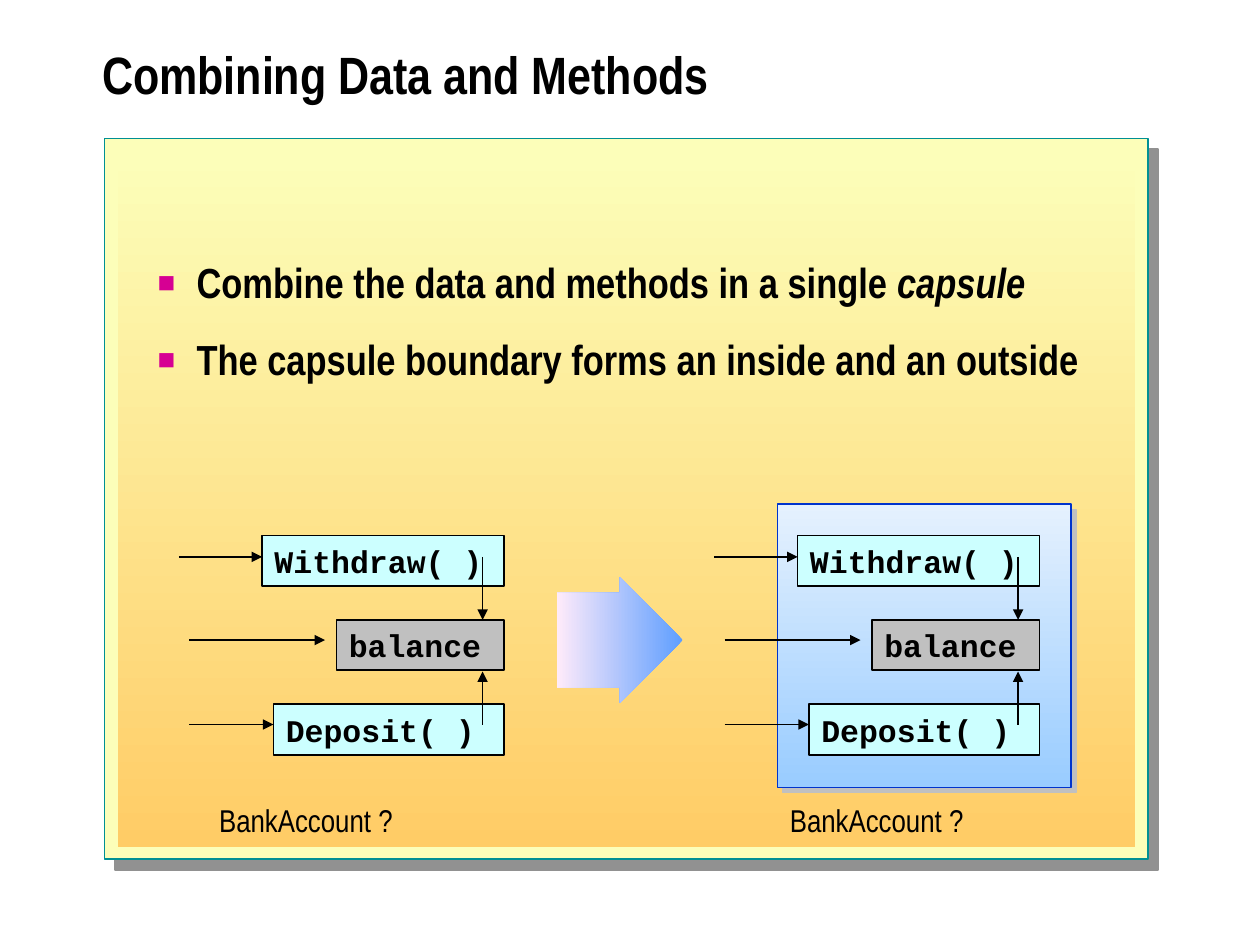
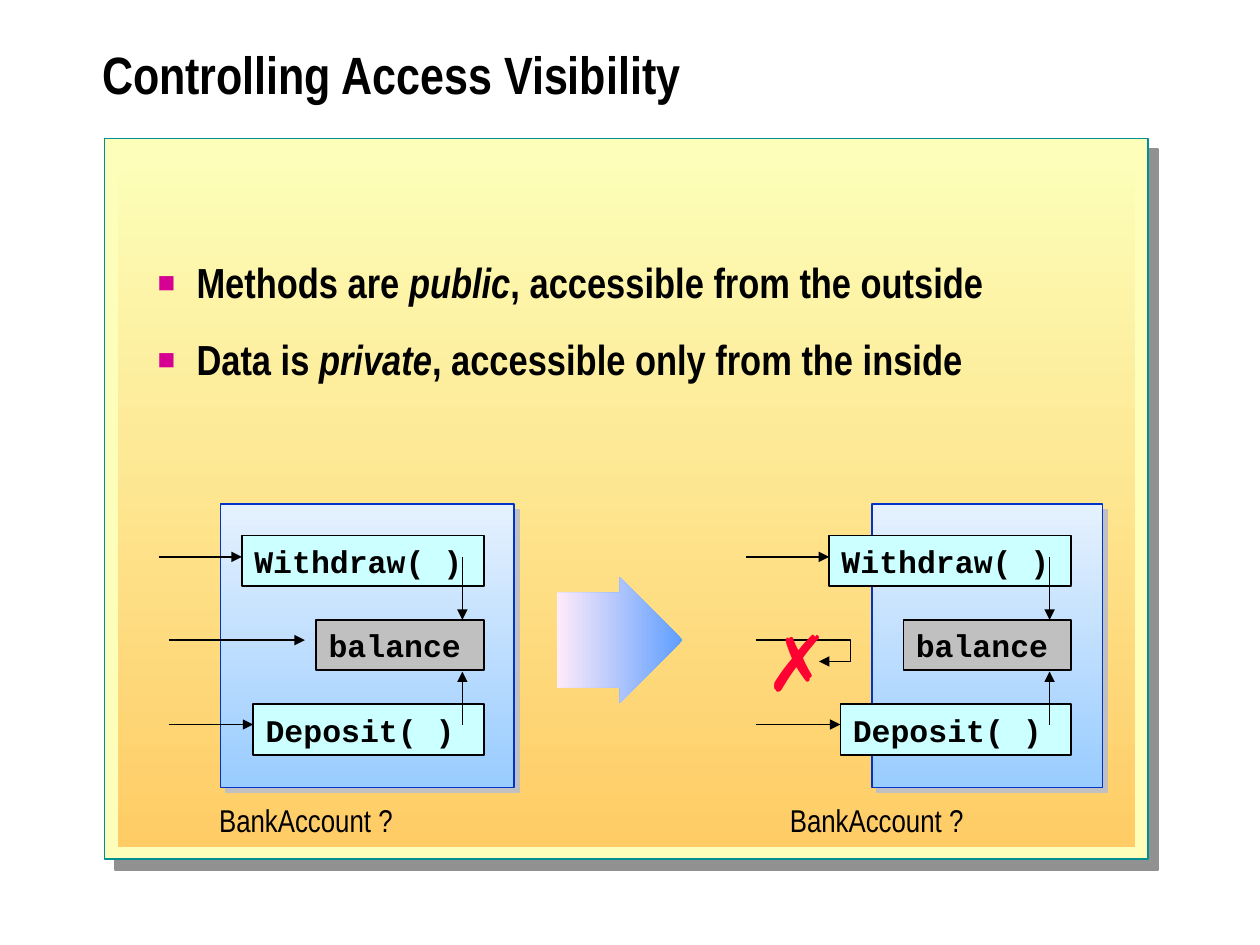
import pptx
import pptx.util
import pptx.dml.color
import pptx.enum.shapes
import pptx.enum.text
import pptx.oxml.ns
import lxml.etree

Inches = pptx.util.Inches
Pt = pptx.util.Pt
SHAPE = pptx.enum.shapes.MSO_SHAPE
CONNECTOR = pptx.enum.shapes.MSO_CONNECTOR
FIT = pptx.enum.text.MSO_AUTO_SIZE
ANCHOR = pptx.enum.text.MSO_ANCHOR
LEFT = pptx.enum.text.PP_ALIGN.LEFT

BLACK, WHITE = "000000", "FFFFFF"
CREAM, AMBER, TEAL = "FCFEB9", "FFCC66", "009094"
METHOD, DATA = "CCFFFF", "C0C0C0"
TITLE = {"size": Pt(30), "name": "Arial Narrow", "bold": True}
BODY = {"size": Pt(24), "name": "Arial Narrow", "bold": True}
CODE = {"size": Pt(18), "name": "Courier New", "bold": True}
LABEL = {"size": Pt(18), "name": "Arial Narrow", "bold": False}
CROSS = {"size": Pt(44), "name": "Arial", "bold": False}


def rgb(value):
    """Return the colour for a hex string."""
    return pptx.dml.color.RGBColor.from_string(value)


def sub(parent, tag, **attrs):
    """Append a DrawingML element with the given attributes."""
    el = lxml.etree.SubElement(parent, pptx.oxml.ns.qn("a:" + tag))
    for key, value in attrs.items():
        el.set(key, str(value))
    return el


def write(p, text, fmt, color=BLACK):
    """Fill a left-aligned paragraph; asterisks enclose italic words."""
    p.alignment = LEFT
    for i, part in enumerate(text.split("*")):
        if part:
            r = p.add_run()
            r.text = part
            for key, value in fmt.items():
                setattr(r.font, key, value)
            r.font.italic = i % 2 == 1
            r.font.color.rgb = rgb(color)


def add_box(slide, box, fill, line=None, width=0.74, shadow=None, angle=270, kind=SHAPE.RECTANGLE):
    """Draw a shape with a solid or two-colour fill and an optional (colour, distance) shadow."""
    sp = slide.shapes.add_shape(kind, *map(Inches, box))
    sp.shadow.inherit = False
    if isinstance(fill, str):
        sp.fill.solid()
        sp.fill.fore_color.rgb = rgb(fill)
    else:
        sp.fill.gradient()
        sp.fill.gradient_angle = angle
        for stop, color in zip(sp.fill.gradient_stops, fill):
            stop.color.rgb = rgb(color)
    if line:
        sp.line.color.rgb = rgb(line)
        sp.line.width = Pt(width)
    else:
        sp.line.fill.background()
    if shadow:
        color, dist = shadow
        effects = sp.element.xpath("./p:spPr/a:effectLst")[0]
        outer = sub(effects, "outerShdw", dist=int(Pt(dist)), dir=45 * 60000, algn="ctr", rotWithShape=0)
        sub(outer, "srgbClr", val=color)
    return sp


def add_text(slide, box, text, fmt, color=BLACK, wrap=True):
    """Place a text box that fits its text."""
    sp = slide.shapes.add_textbox(*map(Inches, box))
    sp.text_frame.word_wrap = wrap
    sp.text_frame.auto_size = FIT.SHAPE_TO_FIT_TEXT
    write(sp.text_frame.paragraphs[0], text, fmt, color)


def add_member(slide, box, text, fill):
    """Draw one class member as a framed code label."""
    sp = add_box(slide, box, fill, BLACK, 0.99)
    tf = sp.text_frame
    tf.word_wrap, tf.auto_size, tf.vertical_anchor = True, FIT.SHAPE_TO_FIT_TEXT, ANCHOR.TOP
    write(tf.paragraphs[0], text, CODE)


def add_arrow(slide, x1, y1, x2, y2, kind=CONNECTOR.STRAIGHT):
    """Draw a thin black line with a triangular head at its end."""
    cxn = slide.shapes.add_connector(kind, *map(Inches, (x1, y1, x2, y2)))
    cxn.line.color.rgb = rgb(BLACK)
    cxn.line.width = Pt(0.74)
    sub(cxn.line._get_or_add_ln(), "tailEnd", type="triangle", w="med", len="med")
    sub(cxn.element.spPr, "effectLst")
    return cxn


def add_account(slide, x, y=4.25, capsule=None, blocked=False):
    """Draw the account members from x, y, with an optional capsule (offset, width) behind."""
    if capsule:
        offset, width = capsule
        add_box(slide, (x + offset, y - 0.25, width, 2.25), ("E5F1FE", "99CCFF"), "0033CC", shadow=("C0C0C0", 4.2))
    right, step, mid = x + 1.92, 0.67, 0.17
    members = [("Withdraw( )", 0, METHOD), ("balance", 0.59, DATA), ("Deposit( )", 0.09, METHOD)]
    for i, (text, indent, fill) in enumerate(members):
        left = x + indent
        add_member(slide, (left, y + i * step, right - left, 0.4), text, fill)
    stem, bottom = right - 0.17, y + 1.5
    add_arrow(slide, stem, y + mid, stem, y + step)
    add_arrow(slide, stem, bottom, stem, y + 1.08)
    add_arrow(slide, x - 0.66, y + mid, x, y + mid)
    add_arrow(slide, x - 0.58, bottom, x + 0.09, bottom)
    data_y = y + 0.83
    if blocked:
        cxn = add_arrow(slide, x - 0.58, data_y, x - 0.08, data_y + 0.17, CONNECTOR.ELBOW)
        sub(cxn.element.xpath(".//a:avLst")[0], "gd", name="adj1", fmla="val 150000")
        add_text(slide, (x - 0.6, y + 0.58, 0.62, 0.83), "✗", CROSS, "FF0033", wrap=False)
    else:
        add_arrow(slide, x - 0.58, data_y, x + 0.5, data_y)


def add_transition(slide, box):
    """Draw the wide arrow between the two accounts."""
    sp = add_box(slide, box, ("5E9EFF", "FFEBFA"), angle=180, kind=SHAPE.DOWN_ARROW)
    sp.rotation = 270
    sp.adjustments[0], sp.adjustments[1] = 0.75, 0.5
    sp.element.xpath("./p:spPr/a:gradFill")[0].set("rotWithShape", "0")


def place(sp, box):
    """Move a placeholder to a box."""
    for key, value in zip(("left", "top", "width", "height"), box):
        setattr(sp, key, Inches(value))


def add_bullets(sp, lines):
    """Fill the body placeholder with square-bulleted lines."""
    tf = sp.text_frame
    tf.auto_size = FIT.NONE
    for i, line in enumerate(lines):
        p = tf.add_paragraph() if i else tf.paragraphs[0]
        write(p, line, BODY)
        p.line_spacing, p.space_before = 0.9, Pt(18)
        pPr = p._p.get_or_add_pPr()
        pPr.set("marL", str(Inches(0.31)))
        pPr.set("indent", str(-Inches(0.31)))
        sub(sub(pPr, "buClr"), "srgbClr", val="D60093")
        sub(pPr, "buSzPct", val=70000)
        sub(pPr, "buFont", typeface="Arial")
        sub(pPr, "buChar", char="■")


def add_slide(prs, title, lines):
    """Add a slide with its panel, title, bullets, labels and wide arrow."""
    slide = prs.slides.add_slide(prs.slide_layouts[1])
    panel = add_box(slide, (0.94, 1.22, 8.07, 5.5), (CREAM, AMBER))
    slide.shapes.element.insert(2, panel.element)
    head, body = slide.placeholders
    place(head, (0.71, 0.17, 8.96, 0.92))
    place(body, (1.15, 2.03, 7.87, 4.69))
    head.text_frame.auto_size = FIT.NONE
    head.text_frame.vertical_anchor = ANCHOR.MIDDLE
    p = head.text_frame.paragraphs[0]
    write(p, title, TITLE)
    p.line_spacing = 0.8
    add_bullets(body, lines)
    add_transition(slide, (4.42, 4.58, 1, 1))
    add_text(slide, (6.17, 6.31, 1.58, 0.4), "BankAccount ?", LABEL, wrap=False)
    add_text(slide, (1.64, 6.31, 1.61, 0.4), "BankAccount ?", LABEL)
    return slide


def add_master_frame(prs, slide):
    """Put the white background and the shadowed frame on the master."""
    fill = prs.slide_master.background.fill
    fill.solid()
    fill.fore_color.rgb = rgb(WHITE)
    frame = add_box(slide, (0.83, 1.1, 8.28, 5.72), CREAM, TEAL, 0.99, ("919191", 8.5))
    prs.slide_master.shapes.element.insert(2, frame.element)


def main():
    """Build the two slides and save them."""
    prs = pptx.Presentation()
    prs.slide_width, prs.slide_height = Inches(10), Inches(7.5)

    combining = add_slide(prs, "Combining Data and Methods", [
        "Combine the data and methods in a single *capsule*",
        "The capsule boundary forms an inside and an outside"])
    add_master_frame(prs, combining)
    add_account(combining, 2.08)
    add_account(combining, 6.33, capsule=(-0.16, 2.33))

    controlling = add_slide(prs, "Controlling Access Visibility", [
        "Methods are *public*, accessible from the outside",
        "Data is *private*, accessible only from the inside"])
    add_account(controlling, 1.92, capsule=(-0.17, 2.33))
    add_account(controlling, 6.58, capsule=(0.34, 1.83), blocked=True)

    prs.save("out.pptx")


main()
